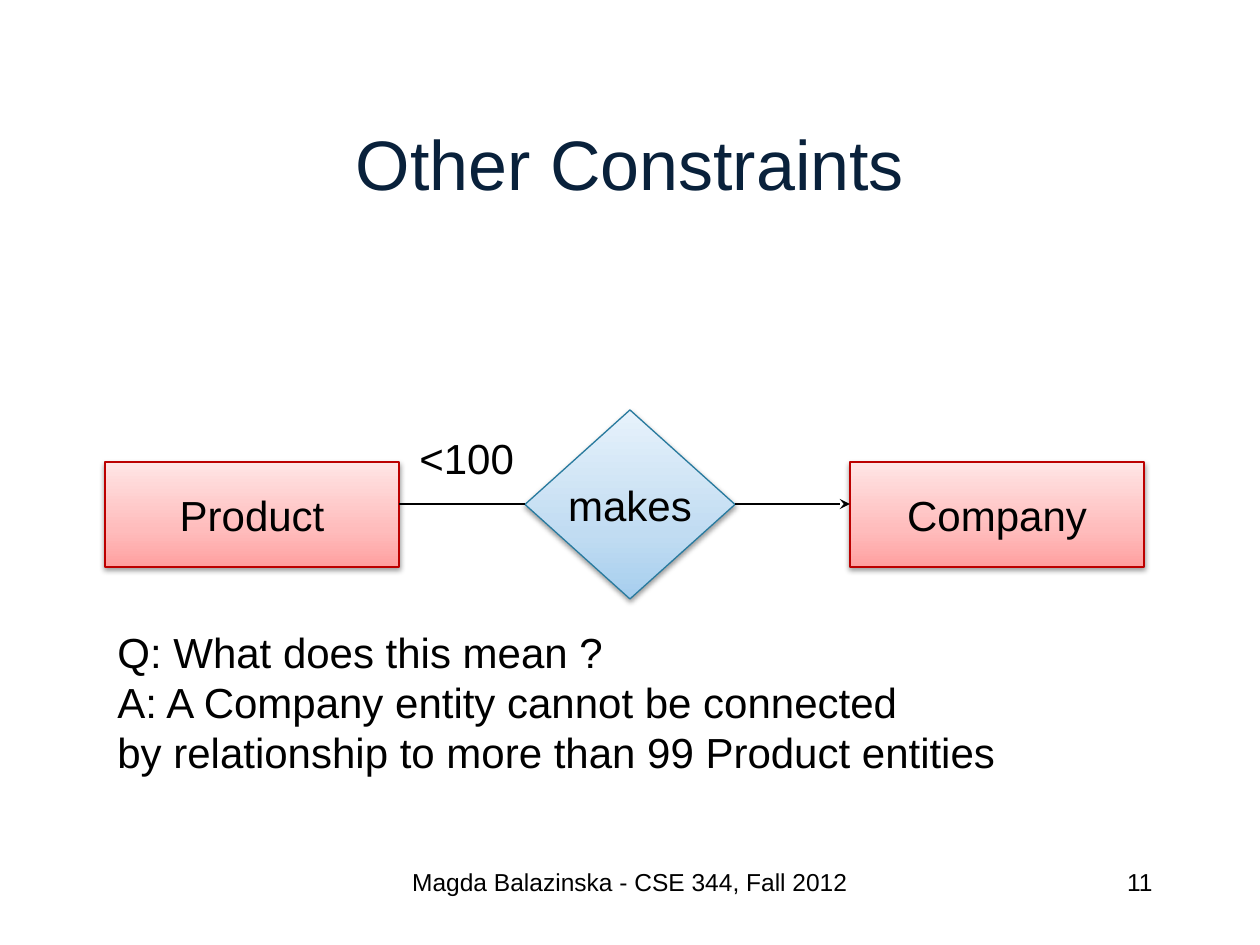
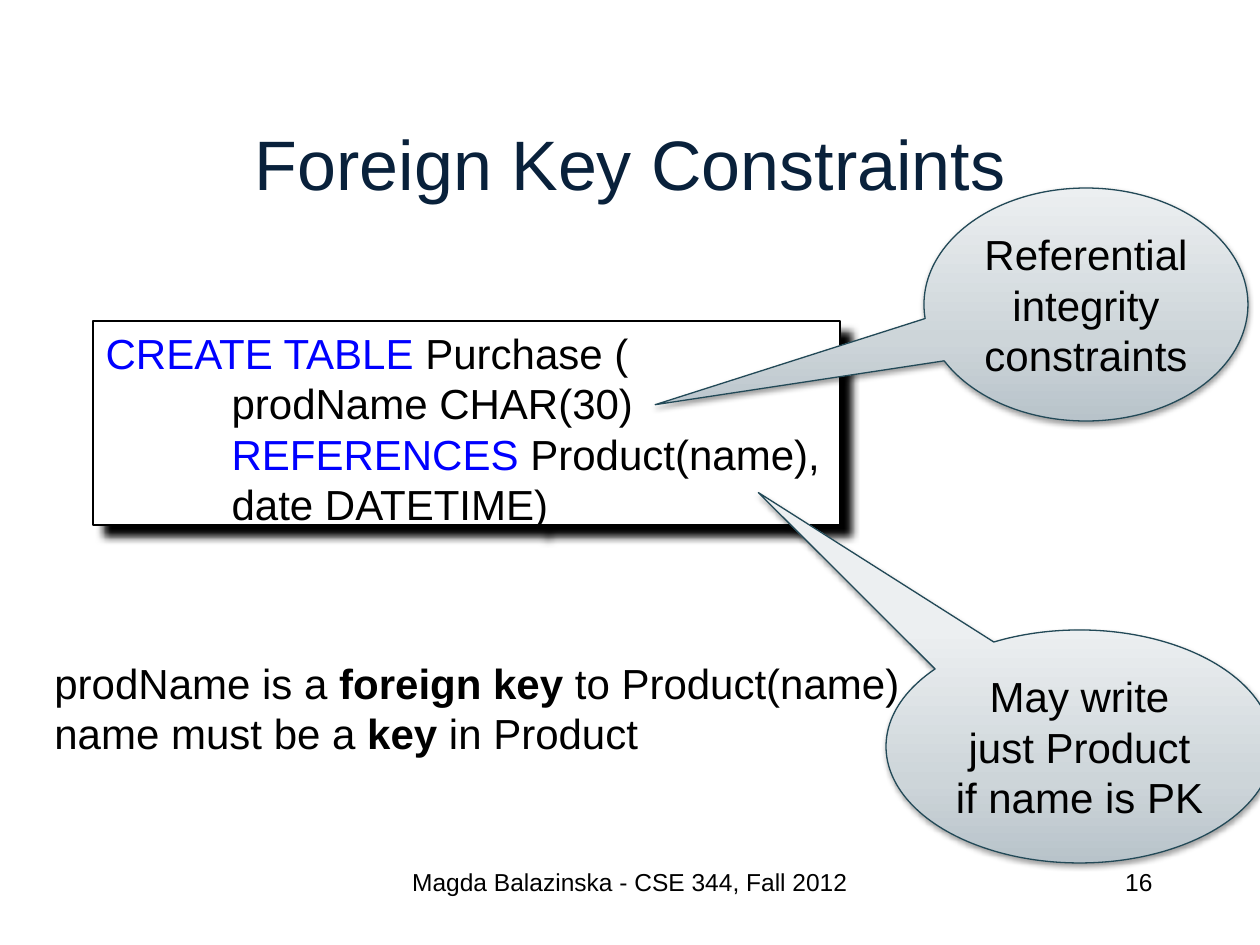
from lxml import etree
from pptx import Presentation
from pptx.dml.color import RGBColor
from pptx.enum.shapes import MSO_CONNECTOR as Connector, MSO_SHAPE as Shape
from pptx.enum.text import MSO_ANCHOR as Anchor, MSO_AUTO_SIZE as AutoSize, PP_ALIGN as Align
from pptx.oxml.ns import qn
from pptx.util import Inches, Pt

SCALE = Inches(1) / 126  # EMU in one pixel
FONT = "Arial"
BODY_SIZE, FOOTER_SIZE, TITLE_SIZE = 24, 14, 40
LEADING = 1.2
FOOTER = "Magda Balazinska - CSE 344, Fall 2012"

BLACK = RGBColor(0x00, 0x00, 0x00)
WHITE = RGBColor(0xFF, 0xFF, 0xFF)
NAVY = RGBColor(0x09, 0x21, 0x3B)
KEYWORD = RGBColor(0x00, 0x00, 0xFF)

# Each look: outline, then gradient colours from bottom to top
RED = (RGBColor(0xBC, 0x00, 0x00), RGBColor(0xFF, 0xA0, 0xA0),
       RGBColor(0xFF, 0xBC, 0xBC), RGBColor(0xFF, 0xE5, 0xE5))
BLUE = (RGBColor(0x28, 0x7A, 0x9E), RGBColor(0xA6, 0xCE, 0xEE),
        RGBColor(0xC1, 0xDC, 0xF2), RGBColor(0xE7, 0xF2, 0xFB))
GREY = (RGBColor(0x22, 0x49, 0x57), RGBColor(0xB8, 0xC3, 0xCA),
        RGBColor(0xCD, 0xD5, 0xD9), RGBColor(0xEC, 0xEF, 0xF1))
GRADIENT_STOPS = (0, 35, 100)

# Each shadow: opacity in percent, blur and distance in points, direction in degrees
SOFT_SHADOW = (38, 3.1, 1.6, 90)
HARD_SHADOW = (100, 5, 8.5, 45)


def px(length):
    """Turn pixels into EMU."""
    return round(length * SCALE)


def place(shape, left, top, width, height):
    """Move and size a shape, in pixels."""
    shape.left, shape.top = px(left), px(top)
    shape.width, shape.height = px(width), px(height)


def add_child(parent, tag, **attributes):
    """Append a drawing element with its attributes."""
    return etree.SubElement(parent, qn(tag), {k: str(v) for k, v in attributes.items()})


def add_span(para, text, size=BODY_SIZE, color=BLACK, bold=False):
    """Add one formatted run."""
    span = para.add_run()
    span.text = text
    span.font.name, span.font.size = FONT, Pt(size)
    span.font.color.rgb, span.font.bold = color, bold


def write(frame, lines, size=BODY_SIZE, align=Align.LEFT, anchor=Anchor.TOP, wrap=True):
    """Fill a text frame; a line is a string or a list of (text, format) runs."""
    frame.word_wrap, frame.auto_size = wrap, AutoSize.NONE
    frame.vertical_anchor = anchor
    for number, line in enumerate(lines):
        para = frame.add_paragraph() if number else frame.paragraphs[0]
        para.alignment = align
        para.space_before = Pt(0)
        para.line_spacing = Pt(size * LEADING)
        for text, look in [(line, {})] if isinstance(line, str) else line:
            add_span(para, text, size, **look)


def add_text(slide, box, lines, **options):
    """Add a text box."""
    text_box = slide.shapes.add_textbox(0, 0, 0, 0)
    place(text_box, *box)
    write(text_box.text_frame, lines, **options)


def set_shadow(shape, opacity, blur, distance, direction):
    """Give a shape an outer shadow."""
    shape.shadow.inherit = False
    effects = shape.element.spPr.find(qn("a:effectLst"))
    outer = add_child(effects, "a:outerShdw", blurRad=Pt(blur), dist=Pt(distance),
                      dir=direction * 60000, rotWithShape=0)
    color = add_child(outer, "a:srgbClr", val=BLACK)
    add_child(color, "a:alpha", val=opacity * 1000)


def set_gradient(shape, colors):
    """Fill a shape with a gradient that runs upwards."""
    shape.fill.gradient()
    gradient = shape.element.spPr.find(qn("a:gradFill"))
    for child in list(gradient):
        gradient.remove(child)
    stops = add_child(gradient, "a:gsLst")
    for position, color in zip(GRADIENT_STOPS, colors):
        stop = add_child(stops, "a:gs", pos=position * 1000)
        add_child(stop, "a:srgbClr", val=color)
    add_child(gradient, "a:lin", ang=270 * 60000, scaled=0)


def set_line(line, color):
    """Give an outline or connector its colour and width."""
    line.color.rgb, line.width = color, Pt(0.75)


def add_node(slide, kind, box, lines, look, tip=()):
    """Add a shaded shape with centred text; tip adjusts a callout's point."""
    node = slide.shapes.add_shape(kind, 0, 0, 0, 0)
    place(node, *box)
    for index, value in enumerate(tip):
        node.adjustments[index] = value
    outline, *colors = look
    set_gradient(node, colors)
    set_line(node.line, outline)
    set_shadow(node, *SOFT_SHADOW)
    write(node.text_frame, lines, align=Align.CENTER, anchor=Anchor.MIDDLE, wrap=False)


def add_link(slide, start, end, y, arrow=False):
    """Add a level connector, with an arrowhead if asked."""
    link = slide.shapes.add_connector(Connector.STRAIGHT, px(start), px(y), px(end), px(y))
    set_line(link.line, BLACK)
    if arrow:
        add_child(link.line._get_or_add_ln(), "a:tailEnd", type="stealth")
    add_child(link.element.spPr, "a:effectLst")


def add_code(body, box, lines, indent):
    """Turn the body placeholder into a framed listing, indented after line one."""
    place(body, *box)
    body.fill.solid()
    body.fill.fore_color.rgb = WHITE
    set_line(body.line, BLACK)
    set_shadow(body, *HARD_SHADOW)
    write(body.text_frame, lines)
    for number, para in enumerate(body.text_frame.paragraphs):
        properties = para._p.get_or_add_pPr()
        properties.set("marL", str(px(indent) if number else 0))
        properties.set("indent", "0")
        add_child(properties, "a:buNone")


def add_page(deck, layout, title, number):
    """Add a slide with its title, footer and page number."""
    page = deck.slides.add_slide(deck.slide_layouts.get_by_name(layout))
    heading = page.shapes.title
    place(heading, 94, 84, 1072, 158)
    heading.text_frame.vertical_anchor = Anchor.MIDDLE
    para = heading.text_frame.paragraphs[0]
    para.alignment = Align.CENTER
    add_span(para, title, TITLE_SIZE, NAVY)
    add_text(page, (399, 861, 462, 63), [FOOTER], size=FOOTER_SIZE, align=Align.CENTER)
    add_text(page, (903, 861, 262, 63), [number], size=FOOTER_SIZE, align=Align.RIGHT)
    return page


def build_constraints(deck):
    """Relationship diagram with a limit on one side."""
    page = add_page(deck, "Title Only", "Other Constraints", "11")
    for left, name in ((850, "Company"), (105, "Product")):
        add_node(page, Shape.RECTANGLE, (left, 462, 294, 105), [name], RED)
    add_node(page, Shape.DIAMOND, (525, 410, 210, 189), ["makes"], BLUE)
    add_link(page, 525, 399, 504)
    add_link(page, 735, 850, 504, arrow=True)
    add_text(page, (407, 426, 124, 63), ["<100"])
    add_text(page, (105, 620, 914, 165), [
        "Q: What does this mean ?",
        "A: A Company entity cannot be connected",
        "by relationship to more than 99 Product entities",
    ])


def build_foreign_keys(deck):
    """Table definition with two callouts."""
    page = add_page(deck, "Title and Content", "Foreign Key Constraints", "16")
    keyword, strong = {"color": KEYWORD}, {"bold": True}
    add_code(page.placeholders[1], (93, 321, 747, 204), [
        [("CREATE TABLE ", keyword), ("Purchase (", {})],
        "prodName CHAR(30)",
        [("REFERENCES ", keyword), ("Product(name),", {})],
        "date DATETIME)",
    ], indent=126)
    add_text(page, (42, 651, 878, 115), [
        [("prodName is a ", {}), ("foreign key", strong), (" to Product(name)", {})],
        [("name must be a ", {}), ("key", strong), (" in Product", {})],
    ])
    add_node(page, Shape.OVAL_CALLOUT, (924, 188, 324, 233),
             ["Referential", "integrity", "constraints"], GREY, (-1.33, 0.43))
    add_node(page, Shape.OVAL_CALLOUT, (886, 630, 387, 233),
             ["May write", "just Product", "if name is PK"], GREY, (-0.83, -1.09))


def main():
    """Build and save the deck."""
    deck = Presentation()
    deck.slide_width, deck.slide_height = Inches(10), Inches(7.5)
    build_constraints(deck)
    build_foreign_keys(deck)
    deck.save("out.pptx")


main()
